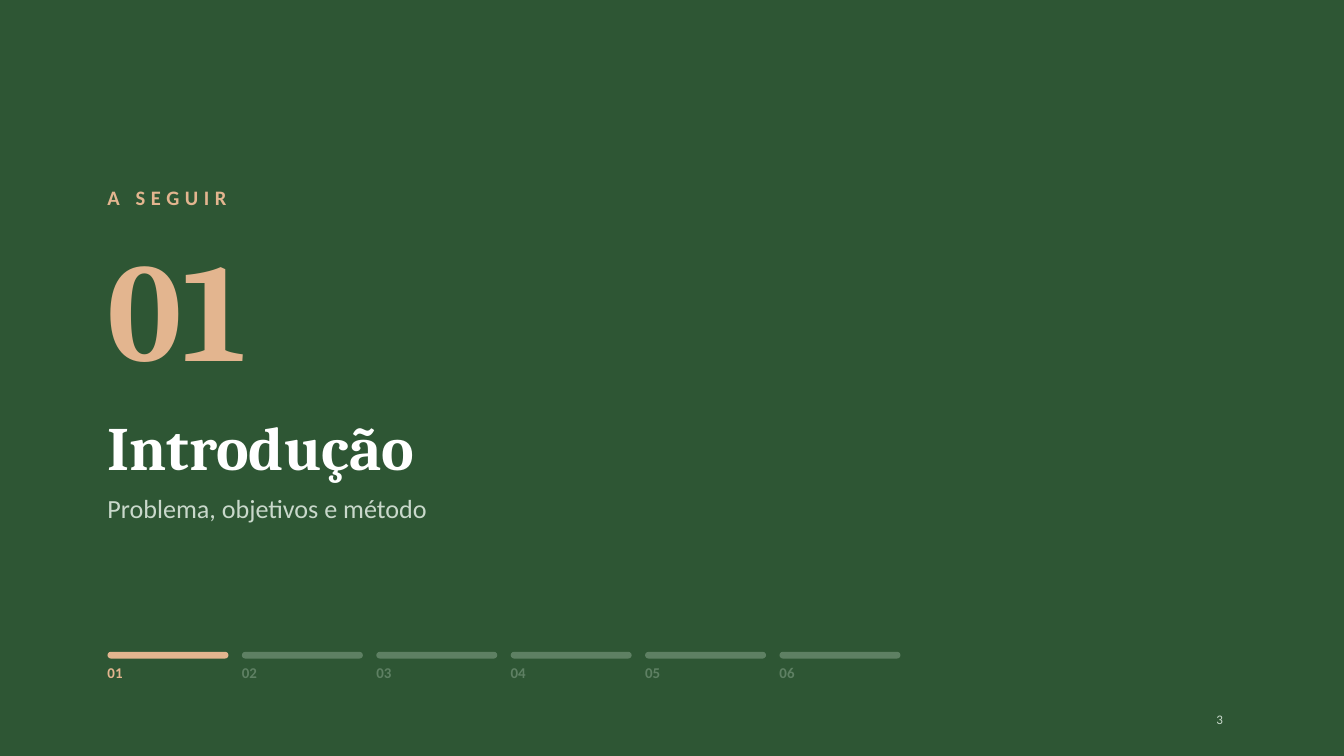
"""Build the section divider slide for the introduction."""
from pptx import Presentation
from pptx.dml.color import RGBColor
from pptx.enum.shapes import MSO_SHAPE
from pptx.enum.text import MSO_AUTO_SIZE
from pptx.util import Pt

PEACH, WHITE, PALE, MOSS, GREEN = "E3B58F", "FFFFFF", "C9D8CB", "5E8063", "2E5634"
SANS, SERIF = "Calibri", "Cambria"
LEFT = 115.2

TEXTS = [
    ("A SEGUIR", (LEFT, 198, 720, 43.2), 22, SANS, PEACH, True, 6),
    ("01", (LEFT, 236.9, 504, 190), 150, SERIF, PEACH, True, 0),
    ("Introdução", (LEFT, 437.8, 1224, 87.8), 66, SERIF, WHITE, True, 0),
    ("Problema, objetivos e método", (LEFT, 527.8, 1224, 52.6), 28, SANS, PALE, False, 0),
    ("3", (1303.2, 761.8, 57.6, 29.5), 14, SANS, PALE, False, 0),
]
STEPS = ["01", "02", "03", "04", "05", "06"]
ACTIVE = "01"
BAR_TOP, BAR_WIDE, BAR_HIGH, PITCH = 698.4, 129.6, 7.2, 144
LABEL_TOP, LABEL_HIGH = 710.6, 33.8


def color(code):
    return RGBColor.from_string(code)


def add_text(slide, text, place, size, face, code, bold=False, track=0):
    box = slide.shapes.add_textbox(*map(Pt, place))
    frame = box.text_frame
    frame.margin_left = frame.margin_right = frame.margin_top = frame.margin_bottom = 0
    frame.word_wrap = True
    frame.auto_size = MSO_AUTO_SIZE.SHAPE_TO_FIT_TEXT
    frame.text = text
    line = frame.paragraphs[0]
    line.line_spacing = Pt(size * 1.2)
    font = line.runs[0].font
    font.name, font.size, font.bold = face, Pt(size), bold
    font.color.rgb = color(code)
    if track:
        line.runs[0]._r.get_or_add_rPr().set("spc", str(track * 100))


def add_bar(slide, place, code):
    bar = slide.shapes.add_shape(MSO_SHAPE.ROUNDED_RECTANGLE, *map(Pt, place))
    bar.adjustments[0] = 0.5
    bar.shadow.inherit = False
    bar.fill.solid()
    bar.fill.fore_color.rgb = color(code)
    bar.line.fill.background()


def main():
    deck = Presentation()
    deck.slide_width, deck.slide_height = Pt(1440), Pt(810)
    slide = deck.slides.add_slide(deck.slide_layouts[6])
    slide.background.fill.solid()
    slide.background.fill.fore_color.rgb = color(GREEN)
    for item in TEXTS:
        add_text(slide, *item)
    for index, step in enumerate(STEPS):
        left = LEFT + index * PITCH
        code = PEACH if step == ACTIVE else MOSS
        add_bar(slide, (left, BAR_TOP, BAR_WIDE, BAR_HIGH), code)
        add_text(slide, step, (left, LABEL_TOP, BAR_WIDE, LABEL_HIGH), 16, SANS, code, True)
    deck.save("out.pptx")


if __name__ == "__main__":
    main()
